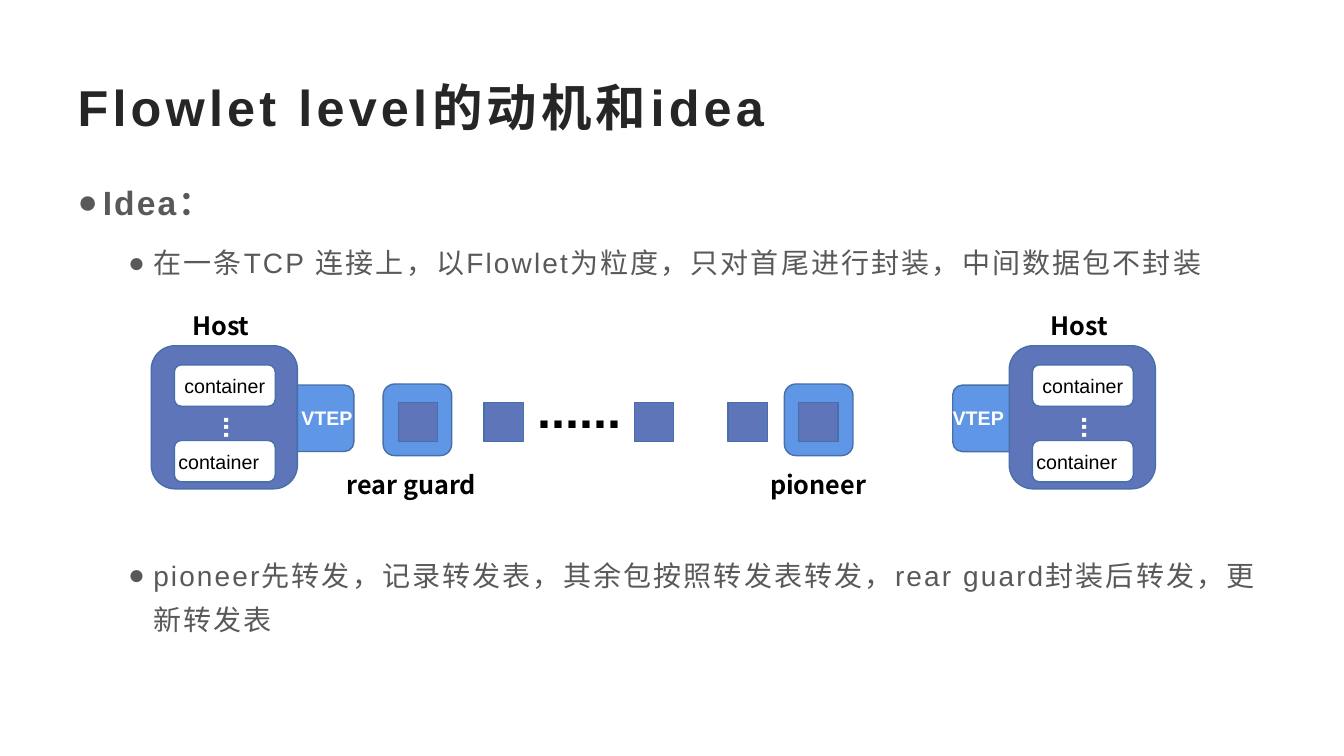
from lxml import etree
from pptx import Presentation
from pptx.dml.color import RGBColor
from pptx.enum.shapes import MSO_SHAPE as Shape
from pptx.enum.text import MSO_ANCHOR as Anchor, MSO_AUTO_SIZE as AutoSize, PP_ALIGN as Align
from pptx.oxml.ns import qn
from pptx.util import Inches, Pt

INK = RGBColor(0x26, 0x26, 0x26)
GRAY = RGBColor(0x59, 0x59, 0x59)
BLACK = RGBColor(0, 0, 0)
WHITE = RGBColor(255, 255, 255)
PACKET_BLUE = RGBColor(0x5E, 0x75, 0xBA)
WRAP_BLUE = RGBColor(0x60, 0x96, 0xE6)
EDGE_BLUE = RGBColor(0x47, 0x6F, 0xAA)
LATIN, CJK = "Arial", "Noto Sans CJK SC"
PACKET = 0.39


def style(para, size, color, bold=False, name=LATIN, spacing=0):
    font = para.font
    font.size, font.bold, font.name = Pt(size), bold, name
    font.color.rgb = color
    props = para._p.pPr.find(qn("a:defRPr"))
    etree.SubElement(props, qn("a:ea"), typeface=CJK)
    if spacing:
        props.set("spc", str(int(spacing * 100)))


def place(item, left, top, width, height):
    item.left, item.top = Inches(left), Inches(top)
    item.width, item.height = Inches(width), Inches(height)


def add_block(page, kind, left, top, width, height, fill, rotation=0):
    block = page.shapes.add_shape(kind, Inches(left), Inches(top), Inches(width), Inches(height))
    block.shadow.inherit = False
    block.fill.solid()
    block.fill.fore_color.rgb = fill
    block.line.color.rgb = EDGE_BLUE
    block.line.width = Pt(1)
    block.rotation = rotation


def add_label(page, text, left, top, width, height, size, color=BLACK, bold=True,
              name=LATIN, vertical=False):
    box = page.shapes.add_textbox(Inches(left), Inches(top), Inches(width), Inches(height))
    frame = box.text_frame
    frame.word_wrap = True
    frame.auto_size = AutoSize.SHAPE_TO_FIT_TEXT
    if vertical:
        frame._txBody.bodyPr.set("vert", "eaVert")
    para = frame.paragraphs[0]
    para.text = text
    style(para, size, color, bold, name)


def fill_title(title, left, top, width, height):
    place(title, left, top, width, height)
    frame = title.text_frame
    frame.auto_size = AutoSize.NONE
    frame.vertical_anchor = Anchor.MIDDLE
    para = frame.paragraphs[0]
    para.text = "Flowlet level的动机和idea"
    para.alignment = Align.LEFT
    style(para, 36, INK, True, spacing=3)


def fill_body(body, left, top, width, height):
    place(body, left, top, width, height)
    frame = body.text_frame
    frame.auto_size = AutoSize.NONE
    # text, level, size, space before, space after
    points = [
        ("Idea：", 0, 24, 0, 10),
        ("在一条TCP 连接上，以Flowlet为粒度，只对首尾进行封装，中间数据包不封装", 1, 20, 0, 6),
        ("pioneer先转发，记录转发表，其余包按照转发表转发，rear guard封装后转发，更新转发表",
         1, 20, 186, 6),  # leaves room for the diagram
    ]
    for index, (text, level, size, before, after) in enumerate(points):
        para = frame.add_paragraph() if index else frame.paragraphs[0]
        para.text, para.level = text, level
        para.line_spacing = 1.3
        para.space_before, para.space_after = Pt(before), Pt(after)
        props = para._p.get_or_add_pPr()
        props.set("marL", str(Inches(0.25 + 0.5 * level)))
        props.set("indent", str(Inches(-0.25)))
        etree.SubElement(props, qn("a:buFont"), typeface=LATIN)
        etree.SubElement(props, qn("a:buChar"), char="●")
        style(para, size, GRAY, level == 0, spacing=1.5)


def draw_host(page, left, top, tab_x, tab_turn, vtep_x):
    add_block(page, Shape.ROUNDED_RECTANGLE, left, top, 1.45, 1.42, PACKET_BLUE)
    # Containers
    for text_x, row_y in ((0.23, 0.19), (0.17, 0.94)):
        add_block(page, Shape.ROUNDED_RECTANGLE, left + 0.23, top + row_y, 1, 0.41, WHITE)
        add_label(page, "container", left + text_x, top + row_y + 0.04, 1.11, 0.34, 14, bold=False)
    add_label(page, "...", left + 0.51, top + 0.6, 0.54, 0.58, 20, WHITE, vertical=True)
    add_label(page, "Host", left + 0.31, top - 0.4, 0.83, 0.4, 18, name=CJK)
    # Tunnel endpoint tab
    add_block(page, Shape.ROUND_2_SAME_RECTANGLE, left + tab_x, top + 0.44, 0.66, 0.56,
              WRAP_BLUE, tab_turn)
    add_label(page, "VTEP", left + vtep_x, top + 0.55, 0.88, 0.34, 14, WHITE)


def draw_flowlet(page, left, top):
    # Encapsulation around the first and last packet
    for wrap_x in (0, 3.98):
        add_block(page, Shape.ROUNDED_RECTANGLE, left + wrap_x, top, 0.68, 0.71, WRAP_BLUE)
    for packet_x in (0.15, 1, 2.49, 3.42, 4.12):
        add_block(page, Shape.RECTANGLE, left + packet_x, top + 0.18, PACKET, PACKET, PACKET_BLUE)
    add_label(page, "......", left + 1.43, top - 0.11, 1.57, 0.71, 36)
    for text, text_x, width in (("pioneer", 3.74, 1.43), ("rear guard", -0.46, 2.16)):
        add_label(page, text, left + text_x, top + 0.8, width, 0.4, 18, name=CJK)


deck = Presentation()
deck.slide_width, deck.slide_height = Inches(13.33), Inches(7.5)
page = deck.slides.add_slide(deck.slide_layouts[1])
fill_title(page.shapes.title, 0.67, 0.67, 12, 0.77)
fill_body(page.placeholders[1], 0.67, 1.63, 12, 5.2)
draw_host(page, 1.5, 3.43, 1.4, 90, 1.39)
draw_host(page, 10.01, 3.43, -0.61, 270, -0.66)
draw_flowlet(page, 3.8, 3.81)
deck.save("out.pptx")
